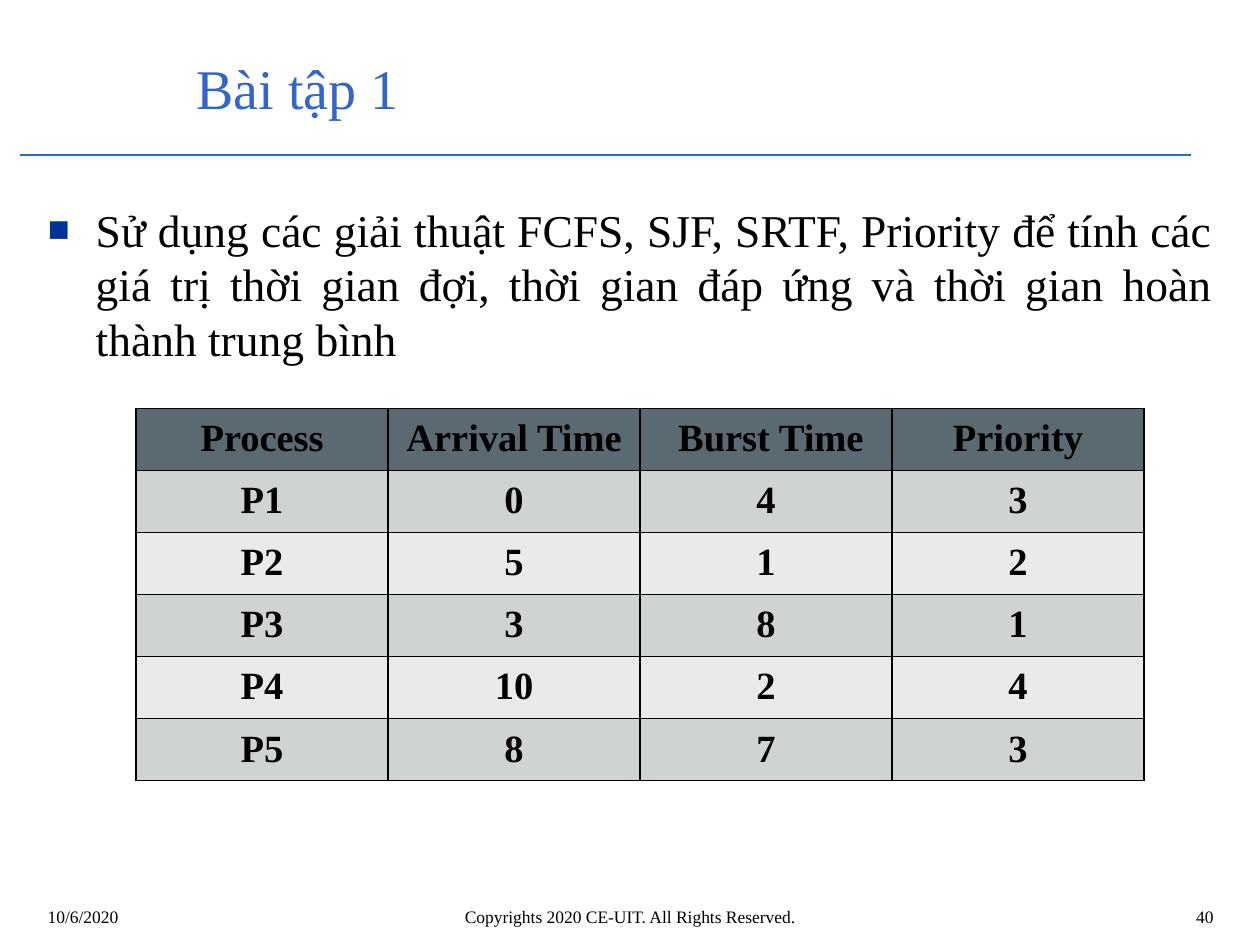
from dataclasses import dataclass

from lxml.etree import SubElement
from pptx import Presentation
from pptx.dml.color import RGBColor
from pptx.enum.shapes import MSO_CONNECTOR
from pptx.enum.text import MSO_ANCHOR, MSO_AUTO_SIZE, PP_ALIGN
from pptx.oxml.ns import qn
from pptx.util import Inches, Pt


@dataclass(frozen=True)
class Theme:
    font: str = "Times New Roman"
    ink: str = "000000"
    accent: str = "3366CC"
    bullet: str = "003399"
    header: str = "5B6973"
    bands: tuple[str, str] = ("D0D3D4", "E9EAEB")
    title_size: int = 32
    body_size: int = 26
    table_size: int = 22
    footer_size: int = 10


@dataclass(frozen=True)
class Area:
    left: float
    top: float
    width: float
    height: float

    def place(self, shape) -> None:
        shape.left, shape.top = Inches(self.left), Inches(self.top)
        shape.width, shape.height = Inches(self.width), Inches(self.height)


@dataclass(frozen=True)
class FooterItem:
    text: str
    left: float
    width: float
    align: PP_ALIGN


THEME = Theme()
PAGE_WIDTH, PAGE_HEIGHT = 10, 7.5
MARGIN, CONTENT_WIDTH = 0.28, 9.45
RULE_Y = 1.23
FOOTER_TOP, FOOTER_HEIGHT = 7.14, 0.32
TITLE_AREA = Area(1.46, 0.31, 8.04, 0.76)
BODY_AREA = Area(MARGIN, 1.55, CONTENT_WIDTH, 5.28)
TABLE_LEFT, TABLE_TOP, COLUMN_WIDTH, ROW_HEIGHT = 1.08, 3.24, 2, 0.46

TASK = ("Sử dụng các giải thuật FCFS, SJF, SRTF, Priority để tính các giá trị "
        "thời gian đợi, thời gian đáp ứng và thời gian hoàn thành trung bình")
PROCESSES = [
    ("Process", "Arrival Time", " Burst Time", "Priority"),
    ("P1", "0", "4", "3"),
    ("P2", "5", "1", "2"),
    ("P3", "3", "8", "1"),
    ("P4", "10", "2", "4"),
    ("P5", "8", "7", "3"),
]
FOOTER = [
    FooterItem("10/6/2020", MARGIN, 2.33, PP_ALIGN.LEFT),
    FooterItem("40", 7.81, 1.92, PP_ALIGN.RIGHT),
    FooterItem("Copyrights 2020 CE-UIT. All Rights Reserved.", 1.93, 6.14, PP_ALIGN.CENTER),
]


def write(frame, text: str, *, size: float, color: str = THEME.ink, bold: bool = False,
          align: PP_ALIGN = PP_ALIGN.LEFT, line_spacing: float = 1.0):
    para = frame.paragraphs[0]
    para.alignment = align
    para.line_spacing = line_spacing
    para.space_before = Pt(0)
    span = para.add_run()
    span.text = text
    span.font.name = THEME.font
    span.font.size = Pt(size)
    span.font.bold = bold
    span.font.color.rgb = RGBColor.from_string(color)
    return para


def add_bullet(para, indent: float) -> None:
    props = para._p.get_or_add_pPr()
    props.set("marL", str(Inches(indent)))
    props.set("indent", str(Inches(-indent)))
    color = SubElement(props, qn("a:buClr"))
    SubElement(color, qn("a:srgbClr"), val=THEME.bullet)
    SubElement(props, qn("a:buSzPct"), val="80000")
    SubElement(props, qn("a:buFont"), typeface=THEME.font)
    SubElement(props, qn("a:buChar"), char="■")


def add_borders(cell, width: float) -> None:
    props = cell._tc.get_or_add_tcPr()
    for side in ("lnL", "lnR", "lnT", "lnB"):
        line = SubElement(props, qn(f"a:{side}"), w=str(Pt(width)))
        fill = SubElement(line, qn("a:solidFill"))
        SubElement(fill, qn("a:srgbClr"), val=THEME.ink)


def add_rule(page) -> None:
    rule = page.shapes.add_connector(MSO_CONNECTOR.STRAIGHT, Inches(0.16), Inches(RULE_Y),
                                     Inches(9.45), Inches(RULE_Y))
    rule.line.color.rgb = RGBColor.from_string(THEME.accent)
    rule.line.width = Pt(0.75)
    SubElement(rule._element.spPr, qn("a:effectLst"))


def fill_placeholders(page) -> None:
    title, body = page.shapes.title, page.placeholders[1]
    for box, area in ((title, TITLE_AREA), (body, BODY_AREA)):
        area.place(box)
        box.text_frame.word_wrap = True
        box.text_frame.auto_size = MSO_AUTO_SIZE.NONE
    title.text_frame.vertical_anchor = MSO_ANCHOR.MIDDLE
    write(title.text_frame, "Bài tập 1", size=THEME.title_size, color=THEME.accent)
    para = write(body.text_frame, TASK, size=THEME.body_size, align=PP_ALIGN.JUSTIFY)
    add_bullet(para, 0.38)


def add_footer_item(page, item: FooterItem) -> None:
    box = page.shapes.add_textbox(Inches(item.left), Inches(FOOTER_TOP),
                                  Inches(item.width), Inches(FOOTER_HEIGHT))
    box.text_frame.word_wrap = True
    write(box.text_frame, item.text, size=THEME.footer_size, align=item.align)


def add_process_table(page, rows: list[tuple[str, ...]]) -> None:
    row_count, column_count = len(rows), len(rows[0])
    table = page.shapes.add_table(row_count, column_count, Inches(TABLE_LEFT), Inches(TABLE_TOP),
                                  Inches(COLUMN_WIDTH * column_count),
                                  Inches(ROW_HEIGHT * row_count)).table
    for row_index, values in enumerate(rows):
        color = THEME.bands[(row_index - 1) % 2] if row_index else THEME.header
        for column_index, value in enumerate(values):
            cell = table.cell(row_index, column_index)
            add_borders(cell, 1)
            cell.fill.solid()
            cell.fill.fore_color.rgb = RGBColor.from_string(color)
            write(cell.text_frame, value, size=THEME.table_size, bold=True,
                  align=PP_ALIGN.CENTER, line_spacing=1.07)


def main() -> None:
    deck = Presentation()
    deck.slide_width, deck.slide_height = Inches(PAGE_WIDTH), Inches(PAGE_HEIGHT)
    page = deck.slides.add_slide(deck.slide_layouts[1])
    add_rule(page)
    fill_placeholders(page)
    for item in FOOTER:
        add_footer_item(page, item)
    add_process_table(page, PROCESSES)
    deck.save("out.pptx")


if __name__ == "__main__":
    main()
